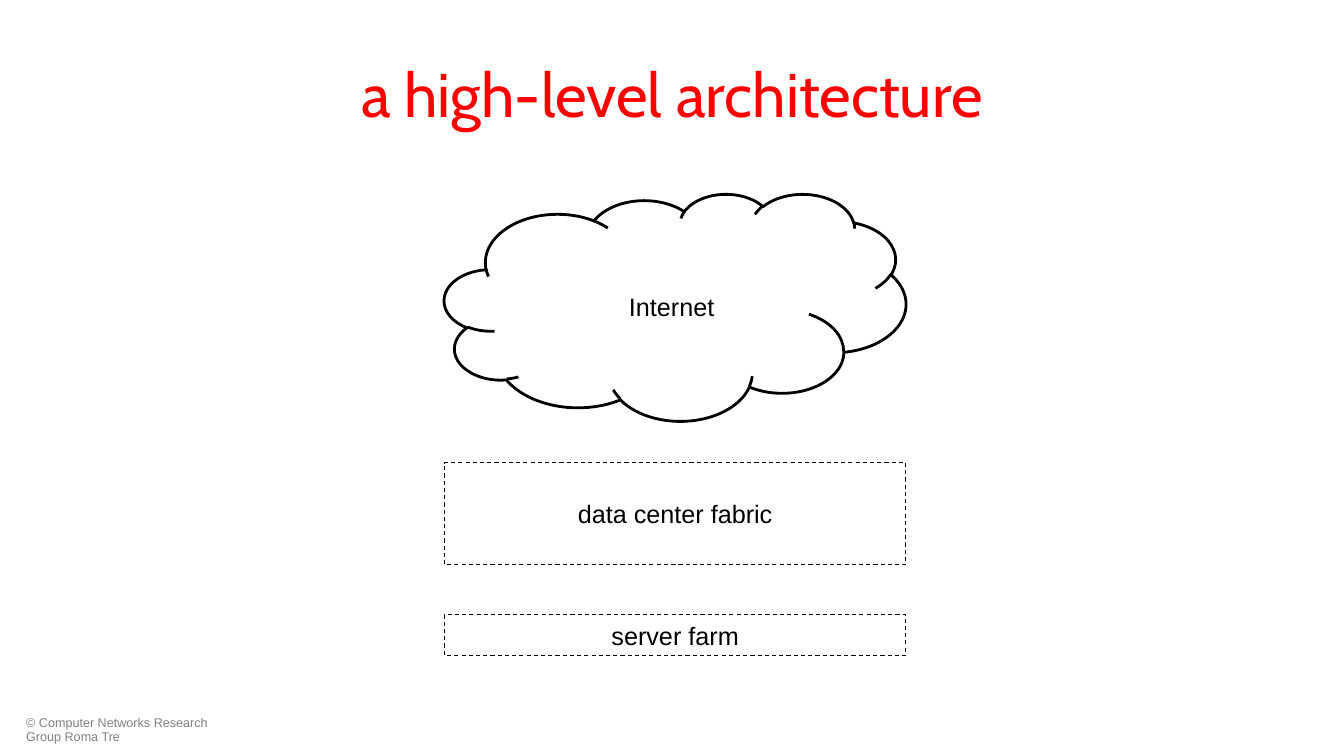
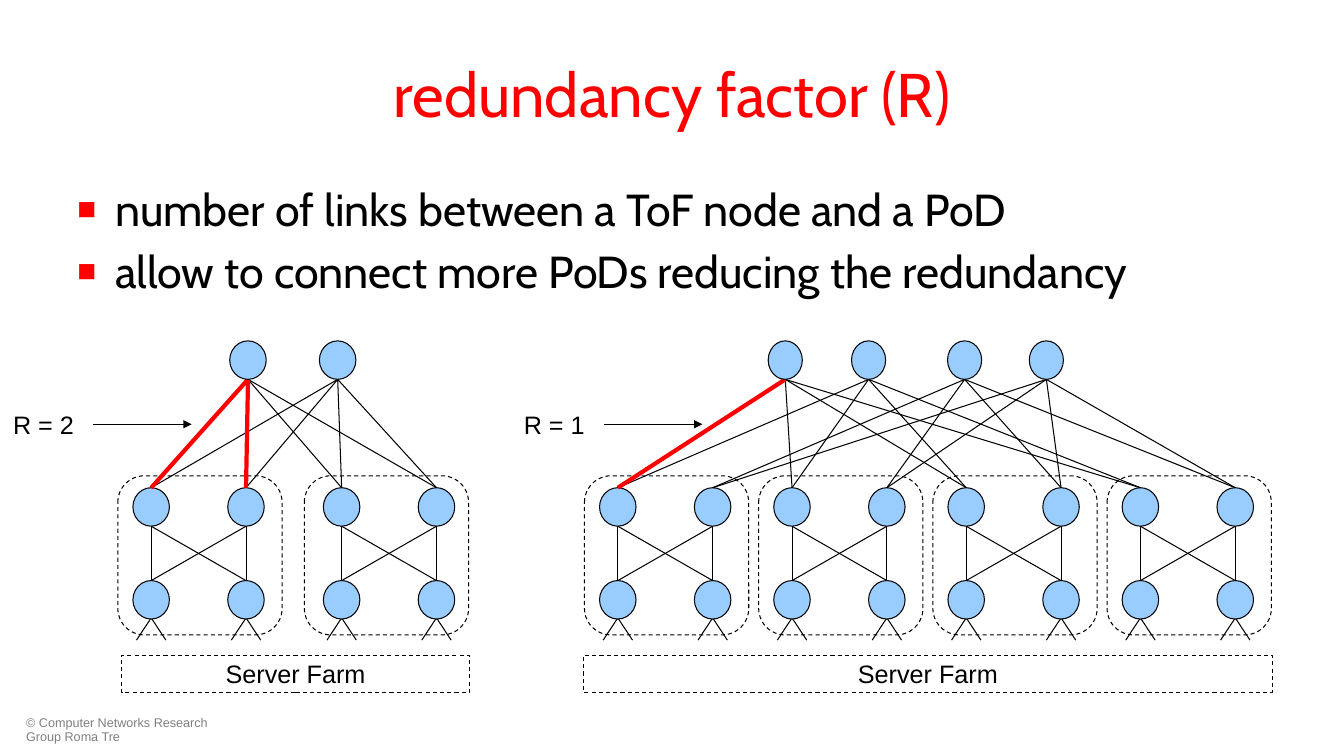
from lxml.etree import SubElement
from pptx import Presentation
from pptx.dml.color import RGBColor
from pptx.enum.dml import MSO_LINE
from pptx.enum.shapes import MSO_CONNECTOR, MSO_SHAPE
from pptx.enum.text import MSO_ANCHOR, PP_ALIGN
from pptx.oxml.ns import qn
from pptx.util import Cm, Pt

# Shared style
COLORS = {
    "accent": "FF0000",
    "text": "000000",
    "line": "000000",
    "footer": "808080",
    "node": "99CCFF",
}
TITLE_FONT = "Cabin"
LABEL_FONT = "Arial"
FOOTER = "© Computer Networks Research Group Roma Tre"

# Network measures, in cm
NODE_HEIGHT = 0.97
NODE_WIDTH = 0.92
TOF_TOP = 8.59
LEAF_TOP = 12.29
SERVER_NODE_TOP = 14.63
NODE_GAP = 2.39
FRAME_TOP, FRAME_WIDTH, FRAME_HEIGHT = 11.99, 4.14, 4.01
STUB_TOP, STUB_BOTTOM, STUB_SPREAD = 15.57, 16.13, 0.37
ARROW_Y, ARROW_LENGTH = 10.69, 2.49


def color(name):
    return RGBColor.from_string(COLORS[name])


def style_paragraph(paragraph, size, font=LABEL_FONT, color_name="text",
                    align=PP_ALIGN.LEFT):
    paragraph.alignment = align
    paragraph.font.size = Pt(size)
    paragraph.font.name = font
    paragraph.font.color.rgb = color(color_name)


def add_text(slide, box, text, size=18, wrap=True, anchor=MSO_ANCHOR.TOP, **style):
    frame = slide.shapes.add_textbox(*map(Cm, box)).text_frame
    frame.word_wrap = wrap
    frame.vertical_anchor = anchor
    frame.text = text
    for paragraph in frame.paragraphs:
        style_paragraph(paragraph, size, **style)
    return frame


def add_outline(slide, kind, box, width=0.75, dashed=False, fill=None, text=None):
    shape = slide.shapes.add_shape(kind, *map(Cm, box))
    shape.shadow.inherit = False
    if fill:
        shape.fill.solid()
        shape.fill.fore_color.rgb = color(fill)
    else:
        shape.fill.background()
    shape.line.color.rgb = color("line")
    shape.line.width = Pt(width)
    if dashed:
        shape.line.dash_style = MSO_LINE.DASH
    if text:
        shape.text_frame.text = text
        shape.text_frame.vertical_anchor = MSO_ANCHOR.MIDDLE
        style_paragraph(shape.text_frame.paragraphs[0], 18, align=PP_ALIGN.CENTER)


def add_dashed_box(slide, box, text):
    add_outline(slide, MSO_SHAPE.RECTANGLE, box, dashed=True, text=text)


def add_line(slide, start, end, color_name="line", width=0.75, arrow=False):
    connector = slide.shapes.add_connector(
        MSO_CONNECTOR.STRAIGHT, *map(Cm, (*start, *end)))
    connector.line.color.rgb = color(color_name)
    connector.line.width = Pt(width)
    properties = connector.element.spPr
    if arrow:
        SubElement(properties.find(qn("a:ln")), qn("a:tailEnd"), type="triangle")
    SubElement(properties, qn("a:effectLst"))


def add_slide(presentation, title):
    slide = presentation.slides.add_slide(presentation.slide_layouts[6])
    footer = add_text(slide, (0.41, 17.93, 5.87, 0.91), FOOTER, 9,
                      color_name="footer")
    footer.paragraphs[0].line_spacing = 0.9
    add_text(slide, (1.7, 0.76, 30.48, 3.18), title, 44, anchor=MSO_ANCHOR.MIDDLE,
             font=TITLE_FONT, color_name="accent", align=PP_ALIGN.CENTER)
    return slide


def add_bullets(slide, box, items):
    frame = add_text(slide, box, "\n".join(items), 32, font=TITLE_FONT)
    for index, paragraph in enumerate(frame.paragraphs):
        if index:
            paragraph.space_before = Pt(6)
        properties = paragraph._p.get_or_add_pPr()
        properties.set("marL", str(Cm(0.95)))
        properties.set("indent", str(-Cm(0.95)))
        # Bullet elements must precede the paragraph font
        font = properties.find(qn("a:defRPr"))
        bullet_color = SubElement(properties, qn("a:buClr"))
        SubElement(bullet_color, qn("a:srgbClr"), val=COLORS["accent"])
        SubElement(properties, qn("a:buSzPct"), val="70000")
        SubElement(properties, qn("a:buFont"), typeface=LABEL_FONT)
        SubElement(properties, qn("a:buChar"), char="■")
        properties.append(font)


def add_node(slide, center, top, width=NODE_WIDTH):
    add_outline(slide, MSO_SHAPE.OVAL,
                (center - width / 2, top, width, NODE_HEIGHT), fill="node")


def add_pod(slide, frame_left, columns):
    add_outline(slide, MSO_SHAPE.ROUNDED_RECTANGLE,
                (frame_left, FRAME_TOP, FRAME_WIDTH, FRAME_HEIGHT), dashed=True)
    for x in columns:
        for leaf_x in columns:
            add_line(slide, (x, SERVER_NODE_TOP), (leaf_x, LEAF_TOP + NODE_HEIGHT))
        for side in (-1, 1):
            add_line(slide, (x, STUB_TOP), (x + side * STUB_SPREAD, STUB_BOTTOM))
        for top in (LEAF_TOP, SERVER_NODE_TOP):
            add_node(slide, x, top)


def add_fabric(slide, redundancy, tofs, tof_width, frames, first_leaves, farm, label_left):
    pods = [(x, x + NODE_GAP) for x in first_leaves]
    for frame_left, columns in zip(frames, pods):
        add_pod(slide, frame_left, columns)

    # Each group of ToF nodes reaches `redundancy` leaves in every pod
    group_size = len(tofs) * redundancy // 2
    links = []
    for index, tof in enumerate(tofs):
        first = index // group_size * redundancy
        for pod_index, columns in enumerate(pods):
            for leaf in columns[first:first + redundancy]:
                links.append((index == pod_index == 0, tof, leaf))
    for highlighted, tof, leaf in sorted(links):
        style = {"color_name": "accent", "width": 3} if highlighted else {}
        add_line(slide, (tof, TOF_TOP + NODE_HEIGHT), (leaf, LEAF_TOP), **style)
    for tof in tofs:
        add_node(slide, tof, TOF_TOP, tof_width)

    # Server farm and redundancy label
    farm_left, farm_width = farm
    add_dashed_box(slide, (farm_left, 16.51, farm_width, 0.94), "Server Farm")
    add_text(slide, (label_left, 10.19, 2.06, 1.02), f"R = {redundancy}", wrap=False)
    arrow_left = label_left + 2.26
    add_line(slide, (arrow_left, ARROW_Y), (arrow_left + ARROW_LENGTH, ARROW_Y),
             arrow=True)


def build_architecture(presentation):
    slide = add_slide(presentation, "a high-level architecture")
    left, width = 11.2, 11.63
    add_outline(slide, MSO_SHAPE.CLOUD, (left, 4.88, width, 5.72), width=2)
    add_text(slide, (15.6, 7.21, 2.69, 1.02), "Internet", wrap=False)
    add_dashed_box(slide, (left, 11.66, width, 2.57), "data center fabric")
    add_dashed_box(slide, (left, 15.49, width, 1.02), "server farm")


def build_redundancy(presentation):
    slide = add_slide(presentation, "redundancy factor (R)")
    add_bullets(slide, (1.7, 4.45, 30.48, 3.6), [
        "number of links between a ToF node and a PoD",
        "allow to connect more PoDs reducing the redundancy",
    ])
    add_fabric(slide, redundancy=2, tofs=[6.25, 8.51], tof_width=NODE_WIDTH,
               frames=[2.97, 7.67], first_leaves=[3.81, 8.61],
               farm=(3.07, 8.76), label_left=0.08)
    pod_pitch = 4.39
    add_fabric(slide, redundancy=1, tofs=[19.79, 21.89, 24.31, 26.37], tof_width=0.86,
               frames=[14.73 + pod_pitch * i for i in range(4)],
               first_leaves=[15.57 + pod_pitch * i for i in range(4)],
               farm=(14.71, 17.35), label_left=12.95)


def main():
    presentation = Presentation()
    presentation.slide_width = Cm(33.87)
    presentation.slide_height = Cm(19.05)
    build_architecture(presentation)
    build_redundancy(presentation)
    presentation.save("out.pptx")


if __name__ == "__main__":
    main()
